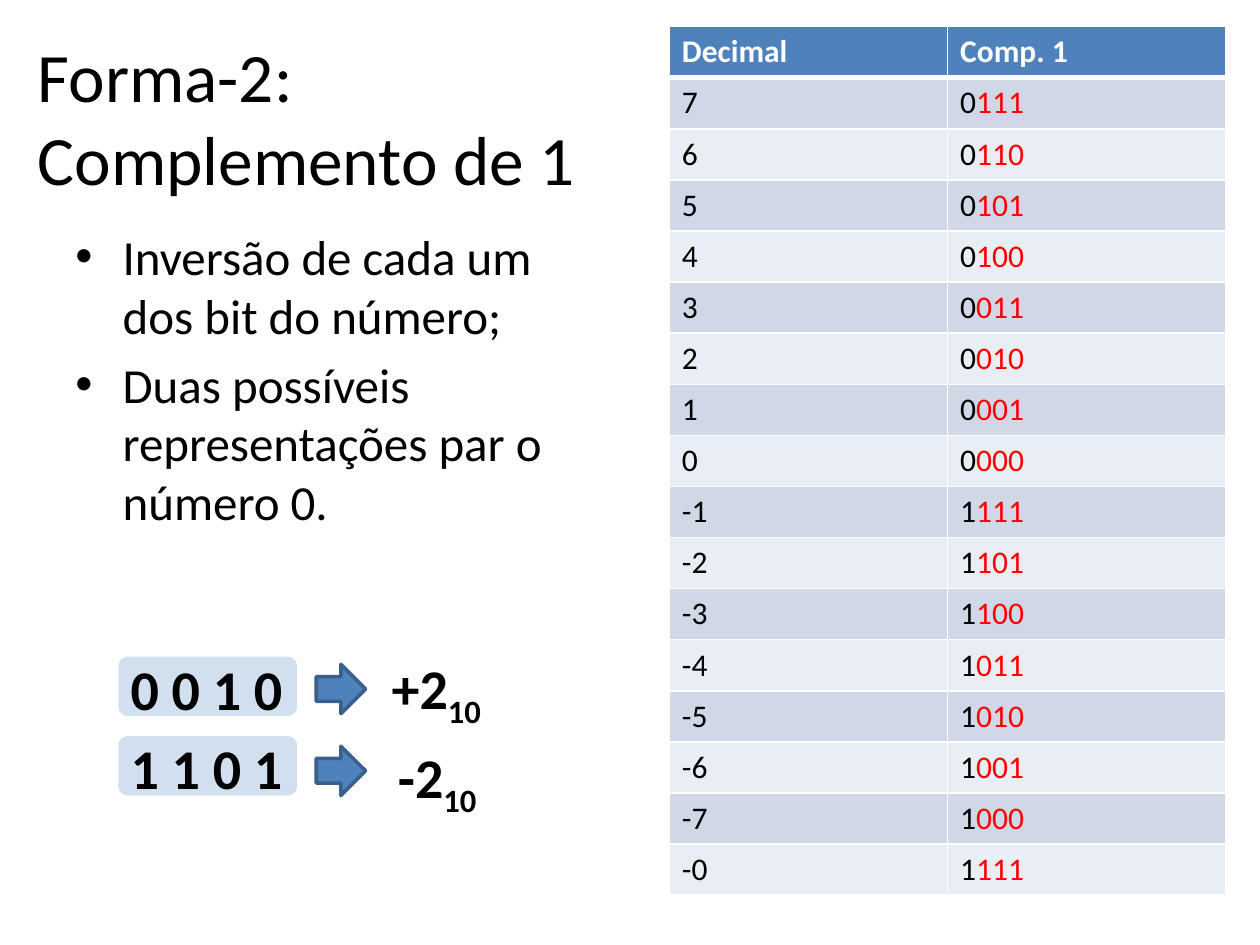
from dataclasses import dataclass

from lxml import etree
from pptx import Presentation
from pptx import util as u
from pptx.dml import color
from pptx.enum import shapes, text
from pptx.oxml import ns


@dataclass(frozen=True)
class Theme:
    font: str = "Calibri"
    title_size: float = 39.6
    body_size: float = 28
    number_size: float = 32
    table_size: float = 18
    black: str = "000000"
    white: str = "FFFFFF"
    red: str = "FF0000"
    blue: str = "4F81BD"
    outline: str = "3A5F8C"
    bands: tuple = ("D0D8E8", "E9EDF4")


def rgb(value):
    return color.RGBColor.from_string(value)


def box(*lengths):
    return [u.Pt(length) for length in lengths]


def apply(target, values):
    for name, value in values.items():
        setattr(target, name, value)


def add_xml(parent, tag, **attributes):
    return etree.SubElement(parent, ns.qn(tag), attributes)


class SlideBuilder:
    def __init__(self, slide, theme):
        self.slide = slide
        self.theme = theme

    def add_text(self, paragraph, content, size, ink=None, bold=False):
        run = paragraph.add_run()
        run.text = content
        apply(run.font, {"name": self.theme.font, "size": u.Pt(size), "bold": bold})
        run.font.color.rgb = rgb(ink or self.theme.black)
        return run

    def title(self, content, left, top, width, height):
        shape = self.slide.shapes.title
        apply(shape, dict(zip(("left", "top", "width", "height"),
                              box(left, top, width, height))))
        apply(shape.text_frame, {
            "word_wrap": True,
            "auto_size": text.MSO_AUTO_SIZE.NONE,
            "vertical_anchor": text.MSO_ANCHOR.MIDDLE,
        })
        paragraph = shape.text_frame.paragraphs[0]
        paragraph.alignment = text.PP_ALIGN.LEFT
        self.add_text(paragraph, content, self.theme.title_size)

    def text_box(self, container, left, top, width, height):
        frame = container.shapes.add_textbox(*box(left, top, width, height)).text_frame
        frame.word_wrap = True
        return frame

    def bullets(self, items, left, top, width, height):
        frame = self.text_box(self.slide, left, top, width, height)
        indent = u.Pt(27)
        for index, item in enumerate(items):
            paragraph = frame.add_paragraph() if index else frame.paragraphs[0]
            properties = paragraph._p.get_or_add_pPr()
            for name, value in {"marL": indent, "indent": -indent}.items():
                properties.set(name, str(value))
            add_xml(properties, "a:buFont", typeface="Arial")
            add_xml(properties, "a:buChar", char="•")
            if index:
                paragraph.space_before = u.Pt(0.2 * self.theme.body_size)
            self.add_text(paragraph, item, self.theme.body_size)

    def shape(self, container, kind, left, top, width, height):
        shape = container.shapes.add_shape(kind, *box(left, top, width, height))
        shape.shadow.inherit = False
        shape.fill.solid()
        shape.fill.fore_color.rgb = rgb(self.theme.blue)
        return shape

    def number(self, container, content, left, top, width, base=None):
        frame = self.text_box(container, left, top, width, 46)
        frame.auto_size = text.MSO_AUTO_SIZE.SHAPE_TO_FIT_TEXT
        paragraph = frame.paragraphs[0]
        self.add_text(paragraph, content, self.theme.number_size, bold=True)
        if base:
            subscript = self.add_text(paragraph, base, self.theme.number_size, bold=True)
            subscript._r.get_or_add_rPr().set("baseline", "-25000")

    def bit_box(self, bits, left, top, width):
        """Group a pale rounded panel with the bits set over it."""
        group = self.slide.shapes.add_group_shape()
        panel = self.shape(group, shapes.MSO_SHAPE.ROUNDED_RECTANGLE,
                           left, top, width, 34)
        panel.line.fill.background()
        fill_color = panel._element.spPr.find(ns.qn("a:solidFill"))[0]
        add_xml(fill_color, "a:alpha", val="25000")
        self.number(group, bits, left, top - 5, width)

    def arrow(self, left, top, side):
        shape = self.shape(self.slide, shapes.MSO_SHAPE.RIGHT_ARROW,
                           left, top, side, side)
        shape.line.color.rgb = rgb(self.theme.outline)
        shape.line.width = u.Pt(2)

    def cell(self, cell, fill, runs, bold=False, top=1, bottom=1):
        """Fill a cell, rule its four sides and add (text, colour) runs."""
        properties = cell._tc.get_or_add_tcPr()
        for side, width in (("L", 1), ("R", 1), ("T", top), ("B", bottom)):
            line = add_xml(properties, f"a:ln{side}", w=str(u.Pt(width)))
            solid = add_xml(line, "a:solidFill")
            add_xml(solid, "a:srgbClr", val=self.theme.white)
        cell.fill.solid()
        cell.fill.fore_color.rgb = rgb(fill)
        for content, ink in runs:
            self.add_text(cell.text_frame.paragraphs[0], content,
                          self.theme.table_size, ink, bold)

    def table(self, headings, rows, left, top, width, row_height):
        theme = self.theme
        count = len(rows) + 1
        table = self.slide.shapes.add_table(
            count, len(headings), *box(left, top, width, row_height * count)).table
        for row in table.rows:
            row.height = u.Pt(row_height)
        for column, heading in enumerate(headings):
            self.cell(table.cell(0, column), theme.blue,
                      [(heading, theme.white)], bold=True, bottom=3)
        for index, (decimal, bits) in enumerate(rows):
            fill = theme.bands[index % 2]
            top_rule = 1 if index else 3
            sign_and_value = [(bits[0], theme.black), (bits[1:], theme.red)]
            for column, runs in enumerate(([(decimal, theme.black)], sign_and_value)):
                self.cell(table.cell(index + 1, column), fill, runs, top=top_rule)


def main():
    presentation = Presentation()
    apply(presentation, {"slide_width": u.Pt(720), "slide_height": u.Pt(540)})
    slide = presentation.slides.add_slide(presentation.slide_layouts[5])
    builder = SlideBuilder(slide, Theme())

    builder.title("Forma-2: Complemento de 1", 14.4, 21.6, 396.7, 90)
    builder.bullets(["Inversão de cada um dos bit do número;",
                     "Duas possíveis representações par o número 0."],
                    36, 126, 318.2, 211.7)

    positive = [(str(value), f"{value:04b}") for value in range(7, -1, -1)]
    negative_bits = ["1111", "1101", "1100", "1011", "1010", "1001", "1000", "1111"]
    negative_decimals = [f"-{value}" for value in (1, 2, 3, 4, 5, 6, 7, 0)]
    builder.table(["Decimal", "Comp. 1"],
                  positive + list(zip(negative_decimals, negative_bits)),
                  382.5, 15.2, 318, 29.2)

    examples = [
        ("0 0 1 0", 375.2, 379.6, "+2", (216.7, 370, 82.8)),
        ("1 1 0 1", 420.6, 426.4, "-2", (220.3, 420.6, 62.6)),
    ]
    for bits, panel_top, arrow_top, value, value_place in examples:
        builder.bit_box(bits, 67.6, panel_top, 102.2)
        builder.arrow(180.7, arrow_top, 28.2)
        builder.number(slide, value, *value_place, base="10")

    presentation.save("out.pptx")


if __name__ == "__main__":
    main()
